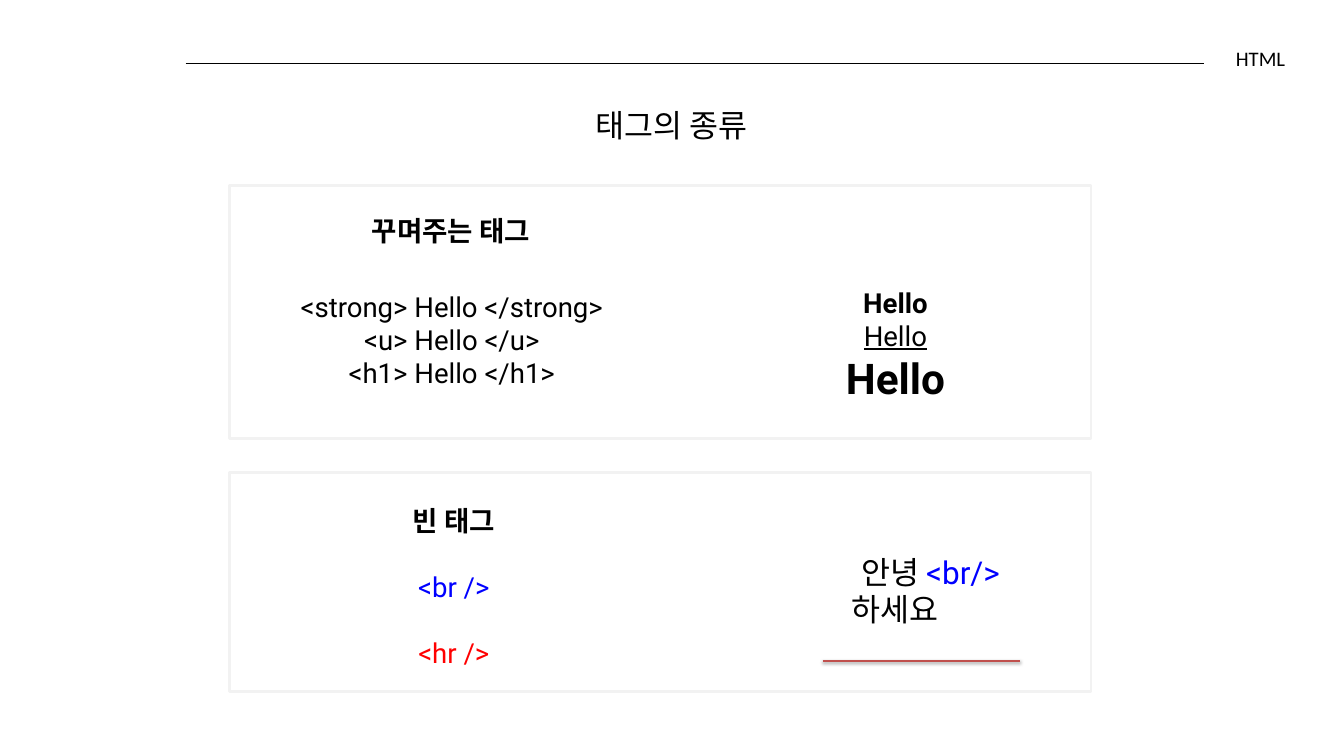
from dataclasses import dataclass, field

from lxml import etree
from pptx import Presentation
from pptx.dml.color import RGBColor
from pptx.enum.shapes import MSO_CONNECTOR, MSO_SHAPE
from pptx.enum.text import PP_ALIGN
from pptx.oxml.ns import qn
from pptx.util import Inches, Pt

STRAIGHT = MSO_CONNECTOR.STRAIGHT
RECT = MSO_SHAPE.RECTANGLE
CENTER, RIGHT = PP_ALIGN.CENTER, PP_ALIGN.RIGHT

WIDE, HIGH = Inches(18.97), Inches(10.67)
COLORS = {"ink": "000000", "blue": "0000FF", "red": "FF0000",
          "pale": "F2F2F2", "brick": "C0504D"}


@dataclass
class Run:
    text: str
    color: str = "ink"
    style: dict = field(default_factory=dict)


@dataclass
class Line:
    runs: list[Run]
    before: float = 0
    indent: float = 0


@dataclass
class Label:
    """Text with its left, top, width and height in percent of the slide."""
    box: tuple[float, float, float, float]
    lines: list[Line]
    size: float = 28
    inset: float = 0.19
    font: str = "Roboto"
    align: PP_ALIGN = CENTER


@dataclass
class Rule:
    """Level line from left to right at a height, in percent of the slide."""
    left: float
    right: float
    top: float
    color: str
    weight: float
    shade: bool = False


def across(share: float) -> int:
    return round(WIDE * share / 100)


def down(share: float) -> int:
    return round(HIGH * share / 100)


def place(box: tuple[float, float, float, float]) -> tuple[int, int, int, int]:
    left, top, width, height = box
    return across(left), down(top), across(width), down(height)


def tint(name: str) -> RGBColor:
    return RGBColor.from_string(COLORS[name])


def plain(text: str, **style) -> Line:
    return Line([Run(text, style=style)])


BOLD = {"bold": True}
LABELS = [
    Label((66.68, 6, 28.94, 3.56), [plain("HTML")], 21, 0, "Calibri", RIGHT),
    Label((34.11, 13.12, 31.79, 7.12), [plain("태그의 종류")], 32, 0.1),
    Label((26.2, 26.52, 14.71, 8.25), [plain("꾸며주는 태그", **BOLD)]),
    Label((20.3, 36.55, 26.62, 16.87),
          [plain(f"<{tag}> Hello </{tag}>") for tag in ("strong", "u", "h1")]),
    Label((60.09, 35.99, 13.07, 19.21),
          [plain("Hello", **BOLD), plain("Hello", underline=True),
           plain("Hello", size=Pt(43), **BOLD)]),
    Label((29.47, 64.85, 8.59, 8.25), [plain("빈 태그", **BOLD)]),
    Label((28.68, 73.66, 10.17, 16.87),
          [Line([Run("<br />", "blue")]),
           Line([Run("<hr />", "red")], before=33)]),
    Label((53.29, 71.32, 26.62, 18.93),
          [Line([Run("안녕 "), Run("<br/>", "blue")], indent=1),
           plain("하세요")], 32),
]
CARDS = [(17.08, 24.55, 64.1, 33.46), (17.08, 62.51, 64.1, 28.96)]
RULES = [Rule(13.81, 89.56, 8.43, "ink", 0.75),
         Rule(61.2, 75.91, 87.44, "brick", 2, True)]


def write(shapes, label: Label) -> None:
    frame = shapes.add_textbox(*place(label.box)).text_frame
    frame.word_wrap = True
    for side in ("left", "top", "right", "bottom"):
        setattr(frame, f"margin_{side}", Inches(label.inset))
    for i, line in enumerate(label.lines):
        para = frame.add_paragraph() if i else frame.paragraphs[0]
        para.alignment = label.align
        if line.before:
            para.space_before = Pt(line.before)
        if line.indent:
            props = para._p.get_or_add_pPr()
            props.set("marL", str(Inches(line.indent)))
            props.set("indent", "0")
        for part in line.runs:
            run = para.add_run()
            run.text = part.text
            look = {"name": label.font, "size": Pt(label.size), **part.style}
            for key, value in look.items():
                setattr(run.font, key, value)
            run.font.color.rgb = tint(part.color)


def frame_card(shapes, box: tuple[float, float, float, float]) -> None:
    card = shapes.add_shape(RECT, *place(box))
    card.shadow.inherit = False
    card.fill.background()
    card.line.color.rgb = tint("pale")
    card.line.width = Pt(3)


def rule_off(shapes, rule: Rule) -> None:
    top = down(rule.top)
    line = shapes.add_connector(
        STRAIGHT, across(rule.left), top, across(rule.right), top)
    line.line.color.rgb = tint(rule.color)
    line.line.width = Pt(rule.weight)
    effects = etree.SubElement(line._element.spPr, qn("a:effectLst"))
    if rule.shade:
        shade = etree.SubElement(
            effects, qn("a:outerShdw"), blurRad=str(Pt(3)),
            dist=str(Pt(1.6)), dir="5400000", rotWithShape="0")
        ink = etree.SubElement(shade, qn("a:srgbClr"), val=COLORS["ink"])
        etree.SubElement(ink, qn("a:alpha"), val="38000")


def main() -> None:
    deck = Presentation()
    deck.slide_width, deck.slide_height = WIDE, HIGH
    shapes = deck.slides.add_slide(deck.slide_layouts[6]).shapes
    for label in LABELS:
        write(shapes, label)
    for box in CARDS:
        frame_card(shapes, box)
    for rule in RULES:
        rule_off(shapes, rule)
    deck.save("out.pptx")


if __name__ == "__main__":
    main()
